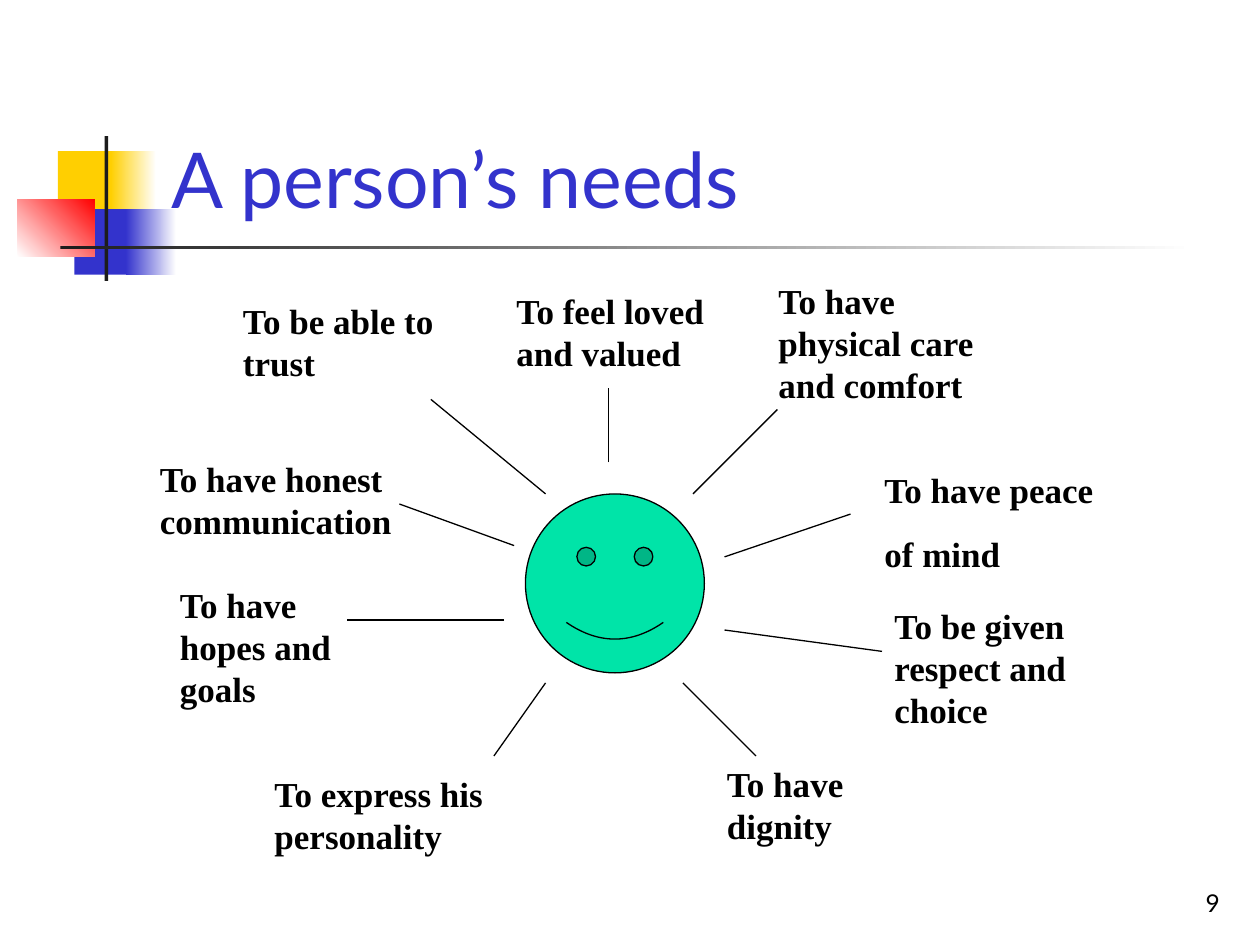
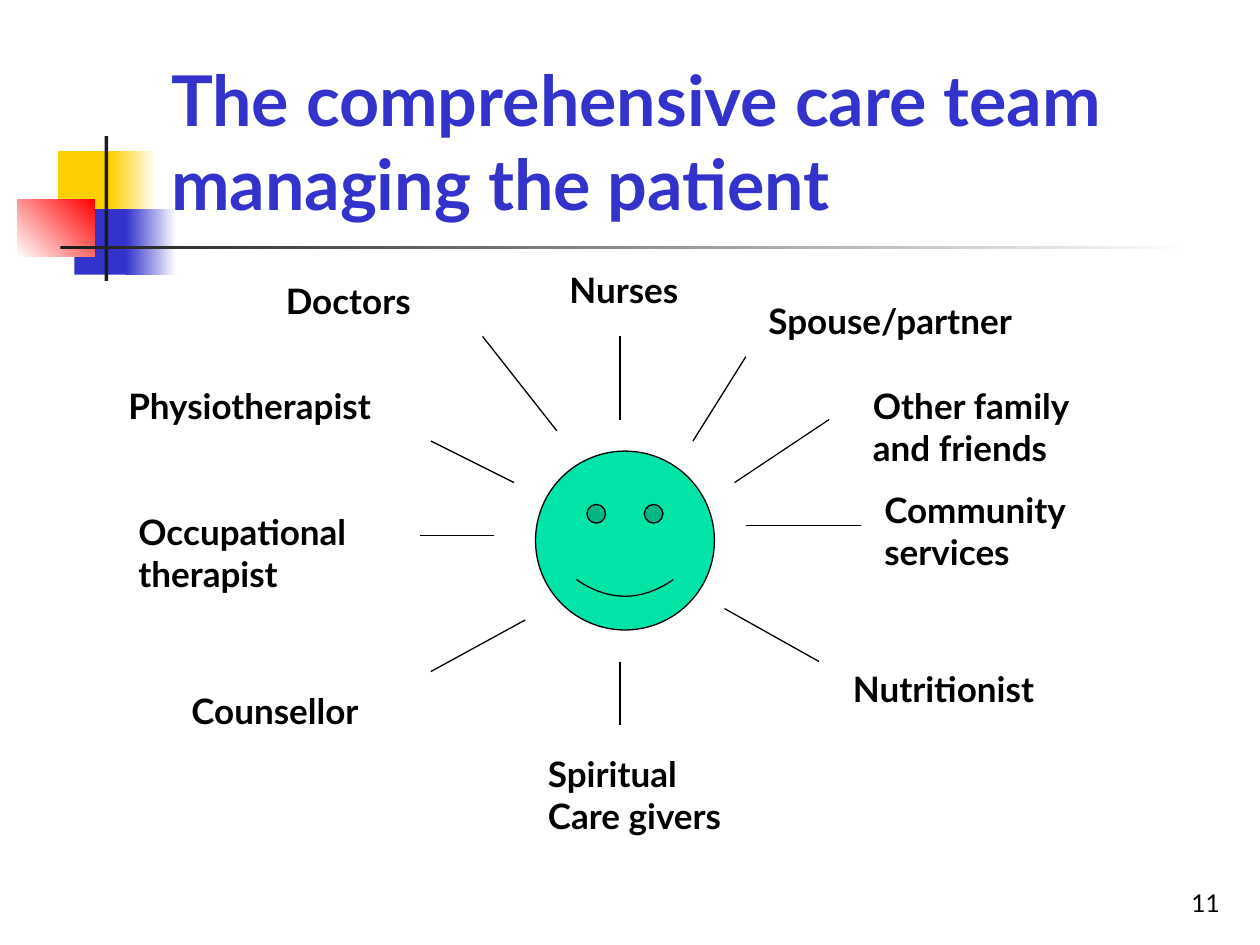
from pptx import Presentation
from pptx.dml.color import RGBColor
from pptx.enum.shapes import MSO_CONNECTOR, MSO_SHAPE
from pptx.enum.text import MSO_ANCHOR, MSO_AUTO_SIZE, PP_ALIGN
from pptx.oxml.ns import qn
from pptx.util import Inches, Pt
from lxml.etree import SubElement

YELLOW = RGBColor(0xFF, 0xCF, 0x01)
BLUE = RGBColor(0x33, 0x33, 0xCC)
RED = RGBColor(0xFF, 0x00, 0x00)
CHARCOAL = RGBColor(0x1C, 0x1C, 0x1C)
GREEN = RGBColor(0x00, 0xE4, 0xA8)
WHITE = RGBColor(0xFF, 0xFF, 0xFF)
BLACK = RGBColor(0x00, 0x00, 0x00)

SANS = "Lato"
SERIF = "Times New Roman"
FACE_SIZE = 1.42
LINE_WIDTH = Pt(0.75)

BANDS = [
    ((0.46, 1.2, 0.48, 0.52), [YELLOW], 0),
    ((0.88, 1.2, 0.36, 0.52), [YELLOW, WHITE], 0),
    ((0.59, 1.66, 0.46, 0.52), [BLUE], 0),
    ((1, 1.66, 0.4, 0.52), [BLUE, WHITE], 0),
    ((0.14, 1.58, 0.61, 0.46), [WHITE, RED], 45),
    ((0.83, 1.08, 0.03, 1.15), [CHARCOAL], 0),
    ((0.48, 1.95, 9, 0.03), [CHARCOAL, WHITE], 0),
]

NEEDS = [
    ((4, 2.25, 1.75, 0.77), "To feel loved and valued"),
    ((1.83, 2.33, 2.08, 0.77), "To be able to trust"),
    ((1.17, 3.58, 2.25, 0.77), "To have honest communication"),
    ((1.33, 4.58, 1.67, 1.1), "To have hopes and goals"),
    ((2.08, 6.08, 2.25, 0.77), "To express his personality"),
    ((5.67, 6, 1.75, 0.77), "To have dignity"),
    ((7, 4.75, 1.92, 1.1), "To be given respect and choice"),
    ((6.92, 3.67, 2.08, 0.94), "To have peace\nof mind"),
    ((6.08, 2.17, 2, 1.1), "To have physical care and comfort"),
]
NEED_RAYS = [
    (4.83, 3.67, 4.83, 3.08),
    (5.5, 3.92, 6.17, 3.25),
    (5.75, 4.42, 6.75, 4.08),
    (5.75, 5, 7, 5.17),
    (5.42, 5.42, 6, 6),
    (4.33, 5.42, 3.92, 6),
    (4, 4.92, 2.75, 4.92),
    (4.08, 4.33, 3.17, 4),
    (4.33, 3.92, 3.42, 3.17),
]

TEAM = [
    ((6, 2.33, 2.67, 0.44), "Spouse/partner"),
    ((6.83, 3, 2, 0.77), "Other family and friends"),
    ((6.92, 3.83, 2, 0.77), "Community services"),
    ((4.25, 5.92, 1.83, 0.77), "Spiritual Care givers"),
    ((1, 4, 2.08, 0.77), "Occupational therapist"),
    ((0.92, 3, 2.5, 0.44), "Physiotherapist"),
    ((2.17, 2.17, 1.5, 0.44), "Doctors"),
    ((4.42, 2.08, 1.17, 0.77), "Nurses"),
    ((1.42, 5.42, 1.92, 0.44), "Counsellor"),
    ((6.67, 5.25, 2, 0.44), "Nutritionist"),
]
TEAM_RAYS = [
    (4.92, 3.33, 4.92, 2.67),
    (5.5, 3.5, 5.92, 2.83),
    (5.83, 3.83, 6.58, 3.33),
    (5.92, 4.17, 6.83, 4.17),
    (5.75, 4.83, 6.5, 5.25),
    (4.92, 5.25, 4.92, 5.75),
    (4.17, 4.92, 3.42, 5.33),
    (3.92, 4.25, 3.33, 4.25),
    (4.08, 3.83, 3.42, 3.5),
    (4.42, 3.42, 3.83, 2.67),
]


def inches(lengths):
    """Convert plain numbers to lengths."""
    return [Inches(length) for length in lengths]


def add_band(slide, box, colors, angle):
    """Add a borderless rectangle with a solid or two-colour fill."""
    band = slide.shapes.add_shape(MSO_SHAPE.RECTANGLE, *inches(box))
    band.shadow.inherit = False
    band.line.fill.background()
    if len(colors) == 1:
        band.fill.solid()
        band.fill.fore_color.rgb = colors[0]
        return
    band.fill.gradient()
    band.fill.gradient_angle = angle
    for stop, color in zip(band.fill.gradient_stops, colors):
        stop.color.rgb = color


def add_text(slide, box, text, size, font=SANS, color=BLACK, bold=False,
             anchor=MSO_ANCHOR.TOP, align=PP_ALIGN.LEFT):
    """Add a wrapping text box and return its frame."""
    frame = slide.shapes.add_textbox(*inches(box)).text_frame
    frame.word_wrap = True
    frame.vertical_anchor = anchor
    frame.text = text
    for index, paragraph in enumerate(frame.paragraphs):
        paragraph.alignment = align
        if index:
            paragraph.space_before = Pt(12.5)
        for run in paragraph.runs:
            run.font.name = font
            run.font.size = Pt(size)
            run.font.bold = bold
            run.font.color.rgb = color
    return frame


def add_face(slide, left, top):
    """Add the smiling face at the centre of the rays."""
    face = slide.shapes.add_shape(
        MSO_SHAPE.SMILEY_FACE, *inches((left, top, FACE_SIZE, FACE_SIZE)))
    face.adjustments[0] = 0.09
    face.shadow.inherit = False
    face.fill.solid()
    face.fill.fore_color.rgb = GREEN
    face.line.color.rgb = BLACK
    face.line.width = LINE_WIDTH


def add_ray(slide, ends):
    """Add a thin straight line from the face towards a label."""
    ray = slide.shapes.add_connector(MSO_CONNECTOR.STRAIGHT, *inches(ends))
    ray.line.color.rgb = BLACK
    ray.line.width = LINE_WIDTH
    SubElement(ray._element.spPr, qn("a:effectLst"))


def add_face_slide(deck, number, title, title_size, title_bold, face_at,
                   labels, label_font, rays):
    """Add a slide with a face surrounded by rays and labels."""
    slide = deck.slides.add_slide(deck.slide_layouts[6])
    for band in BANDS:
        add_band(slide, *band)
    add_text(slide, (7.7, 6.83, 2.08, 0.5), str(number), 14,
             anchor=MSO_ANCHOR.BOTTOM, align=PP_ALIGN.RIGHT)
    add_text(slide, (1.26, 0.23, 8.52, 1.6), title, title_size, color=BLUE,
             bold=title_bold, anchor=MSO_ANCHOR.BOTTOM)
    add_face(slide, *face_at)
    for box, label in labels:
        frame = add_text(slide, box, label, 20, font=label_font, bold=True)
        frame.auto_size = MSO_AUTO_SIZE.SHAPE_TO_FIT_TEXT
    for ends in rays:
        add_ray(slide, ends)


def main():
    """Build and save the two slides."""
    deck = Presentation()
    deck.slide_width, deck.slide_height = inches((10, 7.5))
    add_face_slide(deck, 9, "A person’s needs", 44, False, (4.17, 3.92),
                   NEEDS, SERIF, NEED_RAYS)
    add_face_slide(deck, 11, "The comprehensive care team managing the patient",
                   40, True, (4.25, 3.58), TEAM, SANS, TEAM_RAYS)
    deck.save("out.pptx")


if __name__ == "__main__":
    main()
